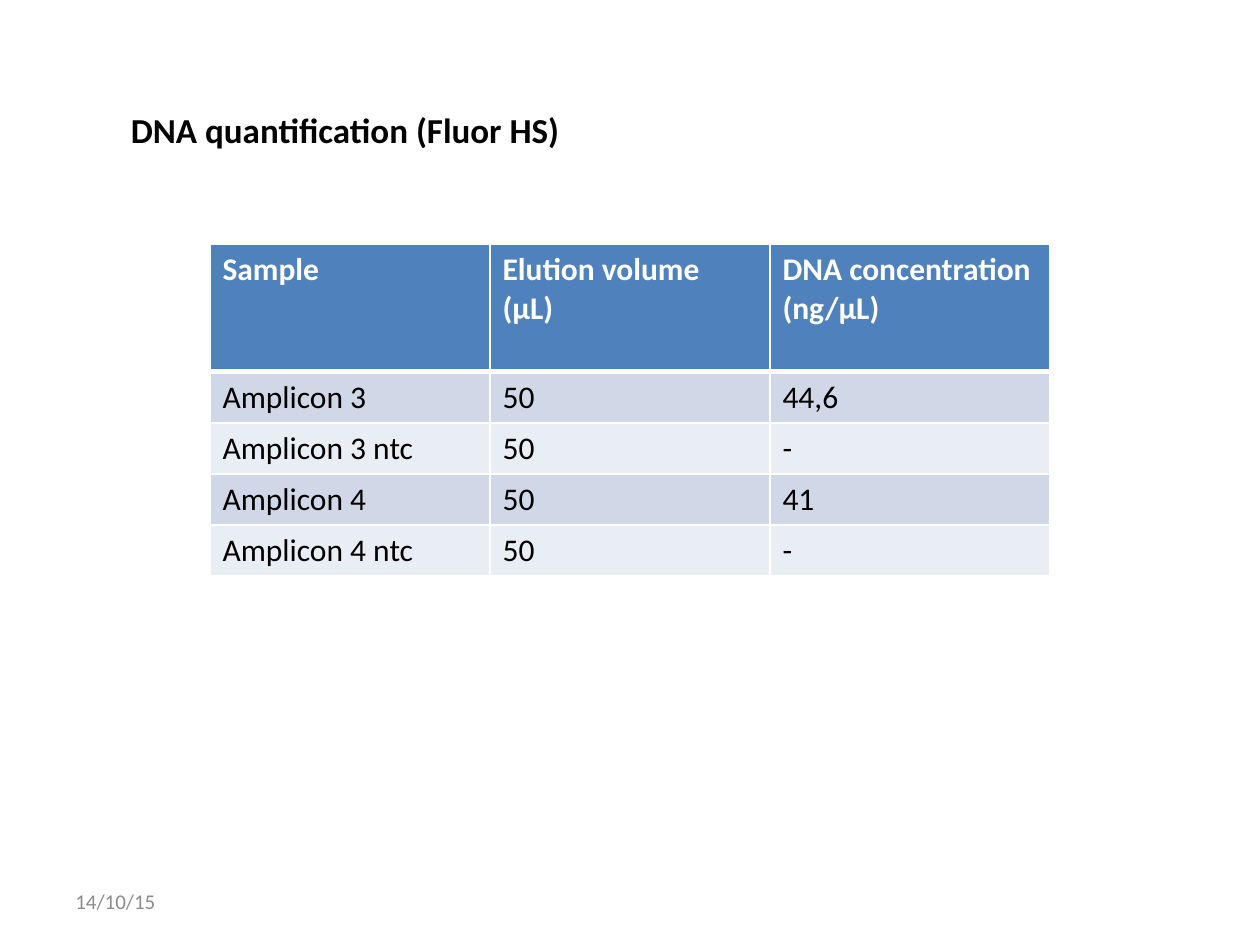
import pptx
import pptx.dml.color
import pptx.enum.text
import pptx.oxml
import pptx.oxml.ns
import pptx.util

RGBColor = pptx.dml.color.RGBColor
Inches = pptx.util.Inches
Anchor = pptx.enum.text.MSO_ANCHOR

WHITE = RGBColor(0xFF, 0xFF, 0xFF)
BLACK = RGBColor(0x00, 0x00, 0x00)
GREY = RGBColor(0x8C, 0x8C, 0x8C)
HEADER_BLUE = RGBColor(0x4F, 0x81, 0xBD)
BANDS = [RGBColor(0xD0, 0xD8, 0xE8), RGBColor(0xE9, 0xED, 0xF4)]
FONT = "Calibri"

TITLE = "DNA quantification (Fluor HS)"
DATE = "14/10/15"
ROWS = [
    ("Sample", "Elution volume (μL)", "DNA concentration (ng/μL)"),
    ("Amplicon 3", "50", "44,6"),
    ("Amplicon 3 ntc", "50", "-"),
    ("Amplicon 4", "50", "41"),
    ("Amplicon 4 ntc", "50", "-"),
]

SLIDE_WIDTH, SLIDE_HEIGHT = 10, 7.5
TABLE_WIDTH = SLIDE_WIDTH * 2 / 3
TABLE_LEFT = (SLIDE_WIDTH - TABLE_WIDTH) / 2
TABLE_TOP = 1.94
ROW_HEIGHTS = [1.01] + [0.405] * (len(ROWS) - 1)


def write(frame, text, size, color, bold=False):
    frame.text = text
    for span in frame.paragraphs[0].runs:
        span.font.name = FONT
        span.font.size = pptx.util.Pt(size)
        span.font.color.rgb = color
        span.font.bold = bold


def add_text(page, bounds, text, size, color, bold=False, wrap=True, anchor=Anchor.TOP):
    box = page.shapes.add_textbox(*map(Inches, bounds))
    box.text_frame.word_wrap = wrap
    box.text_frame.vertical_anchor = anchor
    write(box.text_frame, text, size, color, bold)
    return box


def set_borders(cell, bottom, top):
    """Draw white cell borders; bottom and top widths are in points."""
    properties = cell._tc.get_or_add_tcPr()
    widths = {"lnL": 1, "lnR": 1, "lnT": top, "lnB": bottom}
    for position, (tag, width) in enumerate(widths.items()):
        line = pptx.oxml.parse_xml(
            f'<a:{tag} {pptx.oxml.ns.nsdecls("a")} w="{pptx.util.Pt(width)}">'
            f'<a:solidFill><a:srgbClr val="{WHITE}"/></a:solidFill></a:{tag}>'
        )
        properties.insert(position, line)


def add_results(page):
    bounds = (TABLE_LEFT, TABLE_TOP, TABLE_WIDTH, sum(ROW_HEIGHTS))
    table = page.shapes.add_table(len(ROWS), len(ROWS[0]), *map(Inches, bounds)).table
    for column in table.columns:
        column.width = Inches(TABLE_WIDTH / len(ROWS[0]))
    for index, (values, height) in enumerate(zip(ROWS, ROW_HEIGHTS)):
        header = index == 0
        table.rows[index].height = Inches(height)
        for cell, value in zip(table.rows[index].cells, values):
            write(cell.text_frame, value, 18, WHITE if header else BLACK, header)
            cell.fill.solid()
            cell.fill.fore_color.rgb = HEADER_BLUE if header else BANDS[(index - 1) % 2]
            set_borders(cell, bottom=3 if header else 1, top=3 if index == 1 else 1)


def main():
    deck = pptx.Presentation()
    deck.slide_width, deck.slide_height = Inches(SLIDE_WIDTH), Inches(SLIDE_HEIGHT)
    page = deck.slides.add_slide(deck.slide_layouts[6])
    add_results(page)
    title = add_text(page, (0.94, 0.81, 3.7, 0.44), TITLE, 20, BLACK, bold=True, wrap=False)
    title.text_frame.auto_size = pptx.enum.text.MSO_AUTO_SIZE.SHAPE_TO_FIT_TEXT
    add_text(page, (0.5, 6.95, 2.33, 0.4), DATE, 12, GREY, anchor=Anchor.MIDDLE)
    deck.save("out.pptx")


if __name__ == "__main__":
    main()
